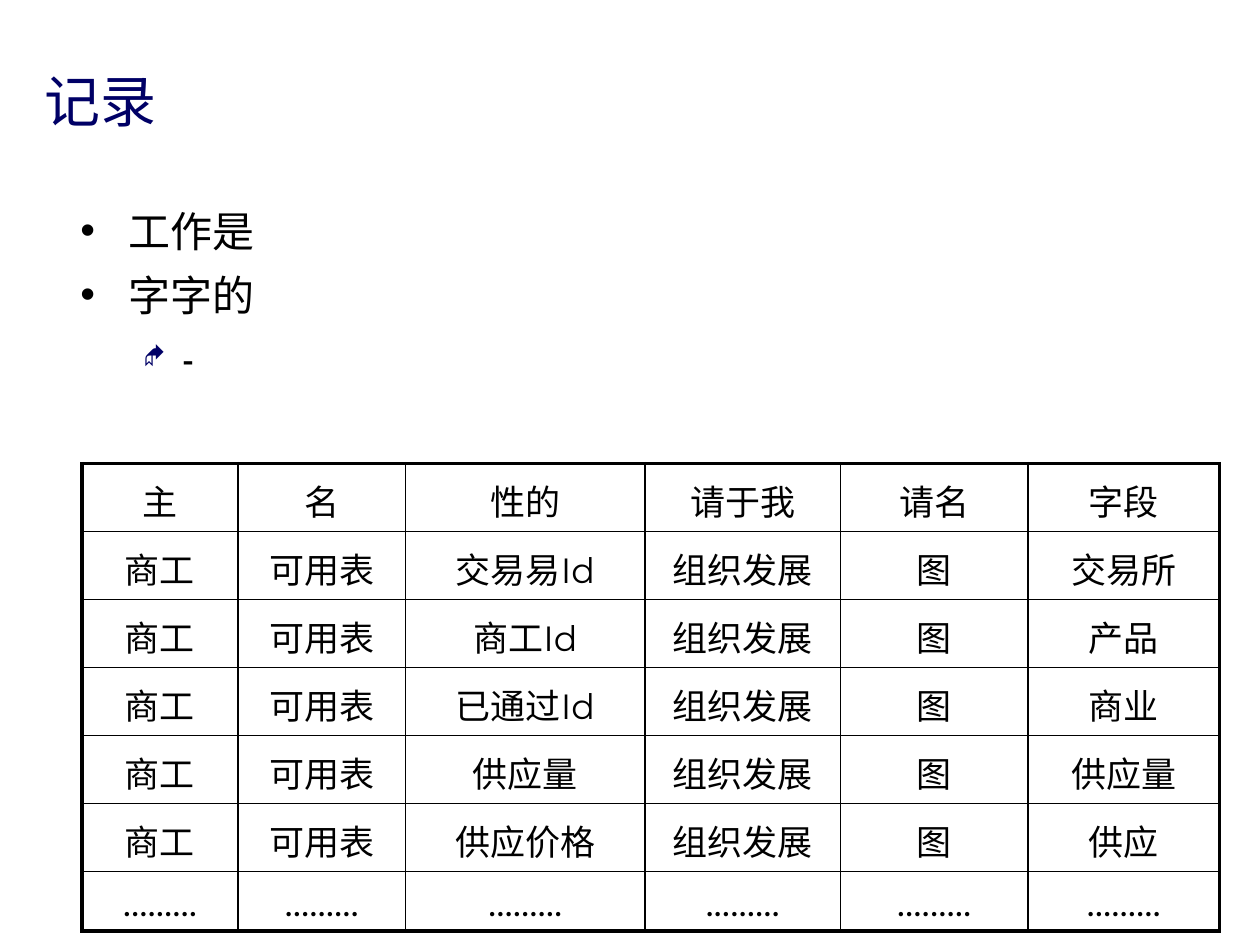
import pptx
import pptx.dml.color
import pptx.enum.text
import pptx.util
from lxml import etree
from pptx.oxml.ns import qn

Inches, Pt = pptx.util.Inches, pptx.util.Pt
PP_ALIGN = pptx.enum.text.PP_ALIGN
NAVY, BLACK = "000066", "000000"
MAIN_FONT = "Montserrat"
THIN, THICK = 1, 2.25

# Bullet levels: left margin, hanging indent, character, font, colour, size in percent
LEVELS = [
    (0.38, -0.38, "•", "Arial", BLACK, 100),
    (0.81, -0.31, "◆", "Wingdings", NAVY, 60),
]
BULLETS = [("工作是", 0, MAIN_FONT), ("字字的", 0, MAIN_FONT), ("-", 1, "Arial Narrow")]

HEADINGS = ["主", "名", "性的", "请于我", "请名", "字段"]
FIELDS = [
    ("交易易Id", "交易所"),
    ("商工Id", "产品"),
    ("已通过Id", "商业"),
    ("供应量", "供应量"),
    ("供应价格", "供应"),
]
COLUMN_WIDTHS = [1.24, 1.33, 1.9, 1.55, 1.49, 1.52]
ROW_HEIGHT, LAST_ROW_HEIGHT = 0.54, 0.47


def rgb(color):
    return pptx.dml.color.RGBColor.from_string(color)


def format_paragraph(paragraph, size, font=MAIN_FONT, color=BLACK, alignment=PP_ALIGN.LEFT):
    paragraph.alignment = alignment
    paragraph.font.size = Pt(size)
    paragraph.font.name = font
    paragraph.font.color.rgb = rgb(color)


def space_paragraph(paragraph, size):
    paragraph.line_spacing = 1.1
    paragraph.space_before = Pt(0.2 * size)


def add_title(slide, text):
    title = slide.shapes.title
    title.left, title.top = Inches(0.25), Inches(0.53)
    title.width, title.height = Inches(9.42), Inches(0.58)
    frame = title.text_frame
    frame.text = text
    frame.auto_size = pptx.enum.text.MSO_AUTO_SIZE.NONE
    frame.vertical_anchor = pptx.enum.text.MSO_ANCHOR.BOTTOM
    format_paragraph(frame.paragraphs[0], 32, color=NAVY)


def set_bullet(paragraph, level):
    margin, indent, character, font, color, percent = LEVELS[level]
    paragraph.level = level
    properties = paragraph._p.get_or_add_pPr()
    properties.set("marL", str(Inches(margin)))
    properties.set("indent", str(Inches(indent)))
    bullet_color = etree.SubElement(properties, qn("a:buClr"))
    etree.SubElement(bullet_color, qn("a:srgbClr"), val=color)
    etree.SubElement(properties, qn("a:buSzPct"), val=str(percent * 1000))
    etree.SubElement(properties, qn("a:buFont"), typeface=font)
    etree.SubElement(properties, qn("a:buChar"), char=character)


def add_bullets(slide, bullets):
    box = slide.shapes.add_textbox(Inches(0.54), Inches(1.54), Inches(8.83), Inches(4.92))
    frame = box.text_frame
    frame.word_wrap = True
    for index, (text, level, font) in enumerate(bullets):
        paragraph = frame.add_paragraph() if index else frame.paragraphs[0]
        paragraph.text = text
        set_bullet(paragraph, level)
        space_paragraph(paragraph, 24)
        format_paragraph(paragraph, 24, font)


def set_borders(cell, widths):
    properties = cell._tc.get_or_add_tcPr()
    for side, width in zip("LRTB", widths):
        line = etree.SubElement(properties, qn(f"a:ln{side}"), w=str(Pt(width)))
        fill = etree.SubElement(line, qn("a:solidFill"))
        etree.SubElement(fill, qn("a:srgbClr"), val=BLACK)


def add_table(slide, rows):
    row_count, column_count = len(rows), len(COLUMN_WIDTHS)
    heights = [ROW_HEIGHT] * (row_count - 1) + [LAST_ROW_HEIGHT]
    table = slide.shapes.add_table(
        row_count, column_count, Inches(0.65), Inches(3.68),
        Inches(sum(COLUMN_WIDTHS)), Inches(sum(heights))).table
    table.first_row = table.horz_banding = False
    for column, width in zip(table.columns, COLUMN_WIDTHS):
        column.width = Inches(width)
    for row_index, texts in enumerate(rows):
        table.rows[row_index].height = Inches(heights[row_index])
        for column_index, text in enumerate(texts):
            cell = table.cell(row_index, column_index)
            cell.text = text
            # Thick lines run only around the outside of the table
            outer = (column_index == 0, column_index == column_count - 1,
                     row_index == 0, row_index == row_count - 1)
            set_borders(cell, [THICK if edge else THIN for edge in outer])
            cell.fill.background()
            paragraph = cell.text_frame.paragraphs[0]
            space_paragraph(paragraph, 20)
            font = "Lato" if row_index == row_count - 1 else MAIN_FONT
            format_paragraph(paragraph, 20, font, alignment=PP_ALIGN.CENTER)


def main():
    presentation = pptx.Presentation()
    presentation.slide_width, presentation.slide_height = Inches(10), Inches(7.5)
    slide = presentation.slides.add_slide(presentation.slide_layouts[5])
    add_title(slide, "记录")
    add_bullets(slide, BULLETS)
    records = [["商工", "可用表", name, "组织发展", "图", field] for name, field in FIELDS]
    add_table(slide, [HEADINGS, *records, ["........."] * len(HEADINGS)])
    presentation.save("out.pptx")


if __name__ == "__main__":
    main()
